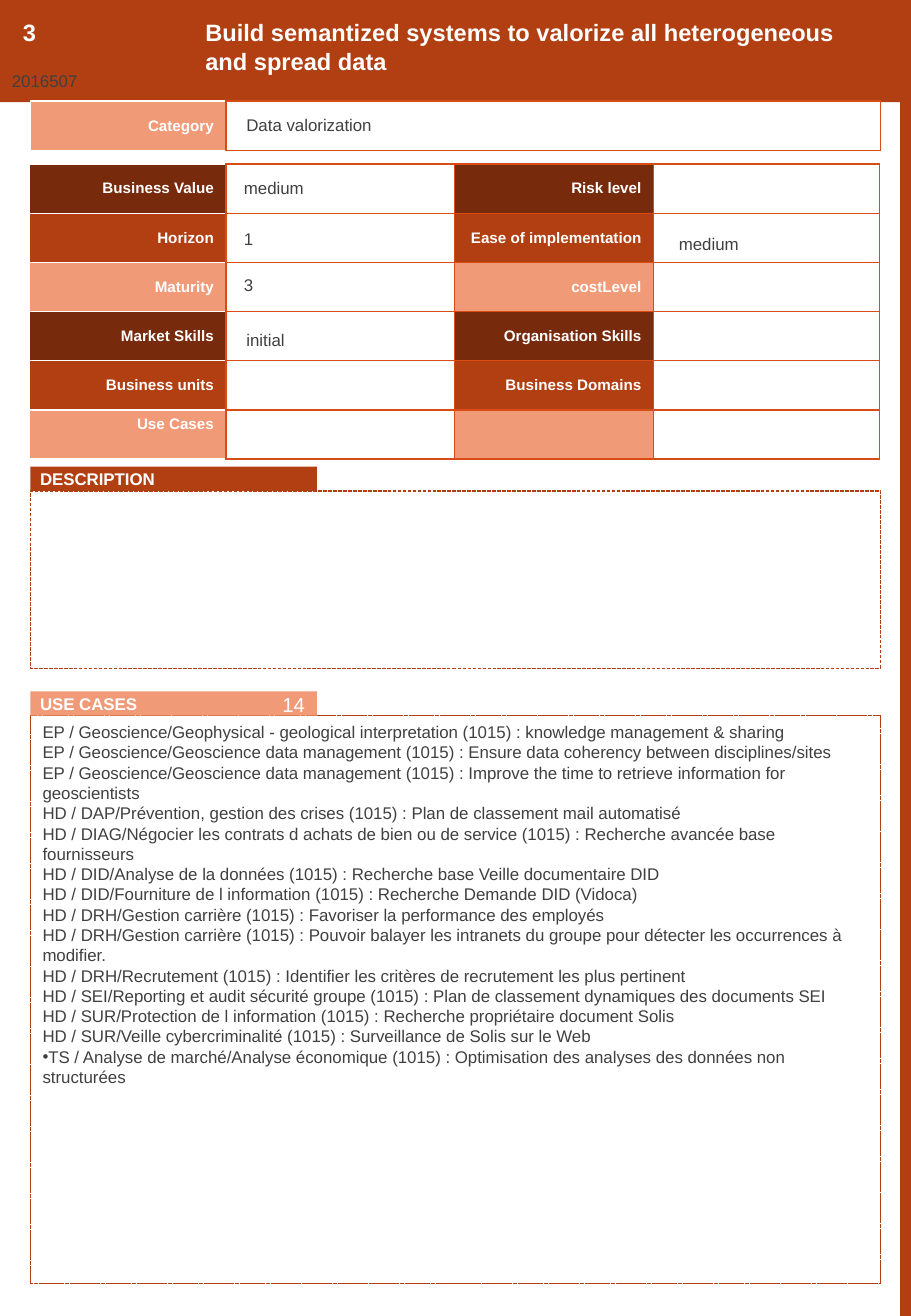
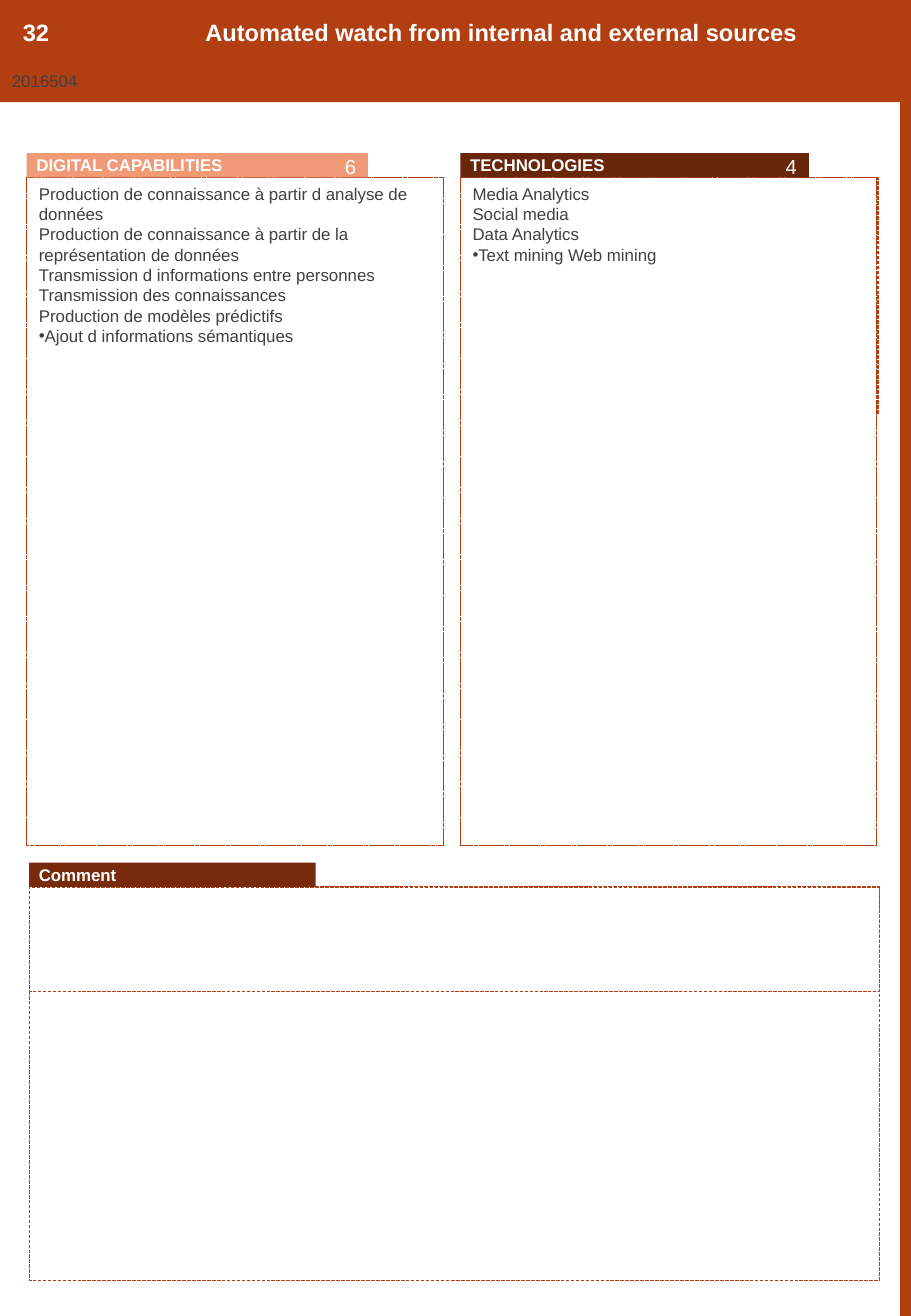
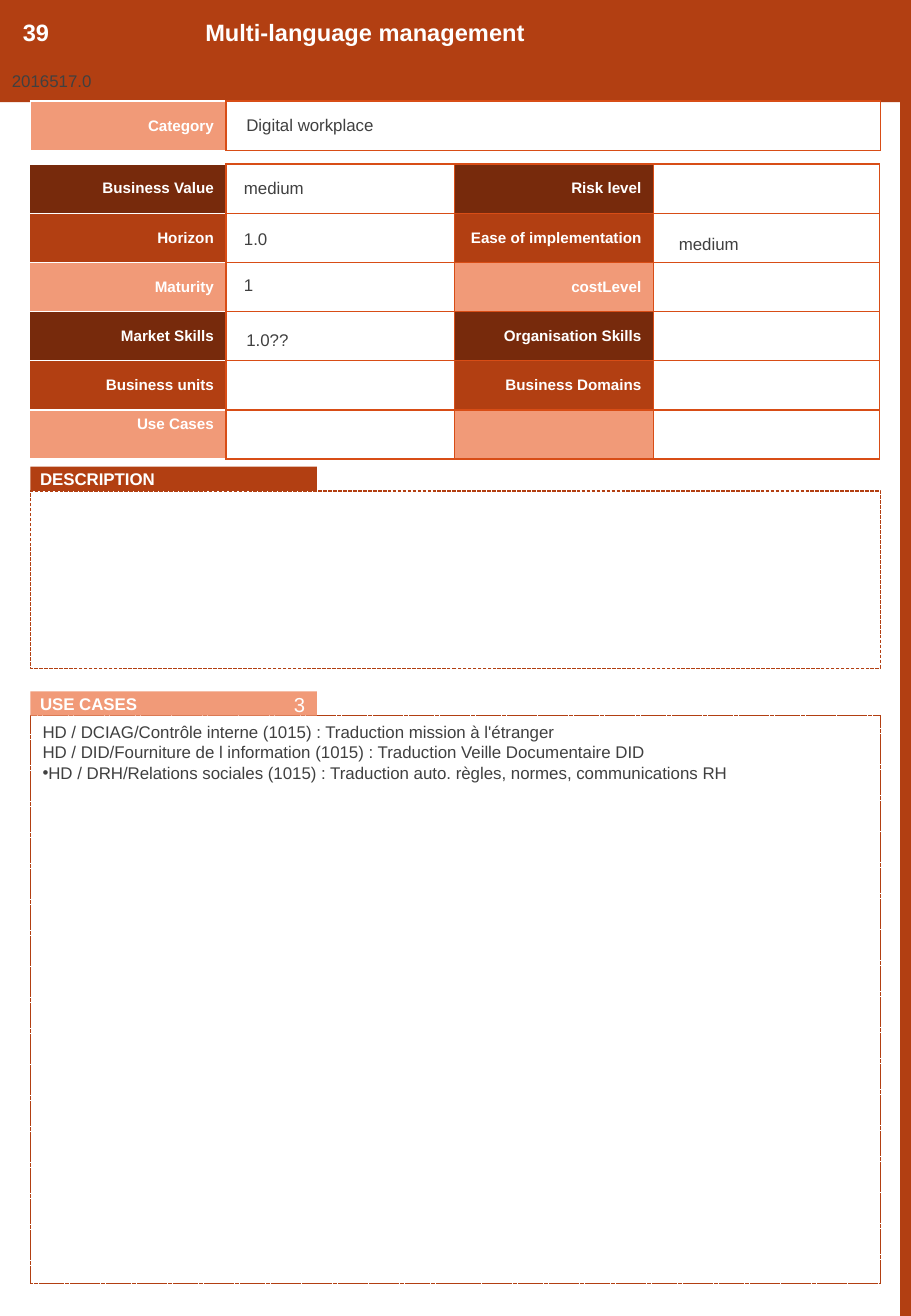
"""Build the three solution cards."""
from dataclasses import dataclass

from lxml.etree import SubElement
from pptx import Presentation
from pptx.dml.color import RGBColor
from pptx.enum.dml import MSO_LINE
from pptx.enum.shapes import MSO_SHAPE
from pptx.enum.text import MSO_ANCHOR, MSO_AUTO_SIZE, PP_ALIGN
from pptx.oxml.ns import qn
from pptx.presentation import Presentation as Deck
from pptx.shapes.autoshape import Shape
from pptx.slide import Slide
from pptx.table import Table, _Cell
from pptx.text.text import TextFrame, _Paragraph
from pptx.util import Inches, Pt


@dataclass(frozen=True)
class Theme:
    """Colours, type sizes and font shared by the slides."""

    rust: str = "B23F12"
    brown: str = "772A0C"
    dark_brown: str = "69260B"
    salmon: str = "F19A78"
    border: str = "D84D16"
    white: str = "FFFFFF"
    text: str = "404040"
    font: str = "Arial"
    title_size: int = 14
    count_size: int = 12
    body_size: int = 10
    label_size: int = 9


THEME = Theme()
TAB_HEIGHT = 0.2


@dataclass(frozen=True)
class Box:
    """A rectangle in inches."""

    left: float
    top: float
    width: float
    height: float

    def lengths(self) -> tuple[int, int, int, int]:
        """Return the four values as lengths."""
        return Inches(self.left), Inches(self.top), Inches(self.width), Inches(self.height)


@dataclass(frozen=True)
class Style:
    """The look of a piece of text."""

    size: int = THEME.body_size
    color: str = THEME.text
    bold: bool = False
    align: PP_ALIGN = PP_ALIGN.LEFT


BODY = Style()
TITLE = Style(THEME.title_size, THEME.white, True)
TAB = Style(THEME.body_size, THEME.white, True)
COUNT = Style(THEME.count_size, THEME.white, align=PP_ALIGN.RIGHT)
LABEL = Style(THEME.label_size, THEME.white, True, PP_ALIGN.RIGHT)


@dataclass(frozen=True)
class Panel:
    """A coloured tab above a dashed frame, with an optional counted list."""

    title: str
    color: str
    left: float
    top: float
    tab_width: float
    width: float
    height: float
    items: tuple[str, ...] = ()
    inner_frame: Box | None = None


@dataclass(frozen=True)
class Card:
    """The header of one slide."""

    number: str
    title: str
    code: str


@dataclass(frozen=True)
class Profile:
    """The ratings shown beside the labels."""

    category: str
    business_value: str
    horizon: str
    maturity: str
    market_skills: str
    ease: str


LABEL_ROWS = (
    ("Business Value", "Risk level", THEME.brown),
    ("Horizon", "Ease of implementation", THEME.rust),
    ("Maturity", "costLevel", THEME.salmon),
    ("Market Skills", "Organisation Skills", THEME.brown),
    ("Business units", "Business Domains", THEME.rust),
    ("Use Cases", "", THEME.salmon),
)

DATA_USE_CASES = (
    "EP / Geoscience/Geophysical - geological interpretation (1015) : knowledge management & sharing",
    "EP / Geoscience/Geoscience data management (1015) : Ensure data coherency between disciplines/sites",
    "EP / Geoscience/Geoscience data management (1015) : Improve the time to retrieve information for geoscientists",
    "HD / DAP/Prévention, gestion des crises (1015) : Plan de classement mail automatisé",
    "HD / DIAG/Négocier les contrats d achats de bien ou de service (1015) : Recherche avancée base fournisseurs",
    "HD / DID/Analyse de la données (1015) : Recherche base Veille documentaire DID",
    "HD / DID/Fourniture de l information (1015) : Recherche Demande DID (Vidoca)",
    "HD / DRH/Gestion carrière (1015) : Favoriser la performance des employés",
    "HD / DRH/Gestion carrière (1015) : Pouvoir balayer les intranets du groupe pour détecter les occurrences à modifier.",
    "HD / DRH/Recrutement (1015) : Identifier les critères de recrutement les plus pertinent",
    "HD / SEI/Reporting et audit sécurité groupe (1015) : Plan de classement dynamiques des documents SEI",
    "HD / SUR/Protection de l information (1015) : Recherche propriétaire document Solis",
    "HD / SUR/Veille cybercriminalité (1015) : Surveillance de Solis sur le Web",
    "TS / Analyse de marché/Analyse économique (1015) : Optimisation des analyses des données non structurées",
)
LANGUAGE_USE_CASES = (
    "HD / DCIAG/Contrôle interne (1015) : Traduction mission à l'étranger",
    "HD / DID/Fourniture de l information (1015) : Traduction Veille Documentaire DID",
    "HD / DRH/Relations sociales (1015) : Traduction auto. règles, normes, communications RH",
)
CAPABILITIES = (
    "Production de connaissance à partir d analyse de données",
    "Production de connaissance à partir de la représentation de données",
    "Transmission d informations entre personnes",
    "Transmission des connaissances",
    "Production de modèles prédictifs",
    "Ajout d informations sémantiques",
)
TECHNOLOGIES = ("Media Analytics", "Social media", "Data Analytics", "Text mining Web mining")


def rgb(color: str) -> RGBColor:
    """Turn a hex string into a colour."""
    return RGBColor.from_string(color)


def format_paragraph(paragraph: _Paragraph, style: Style) -> None:
    """Apply a text style to a paragraph."""
    paragraph.alignment = style.align
    paragraph.space_before = Pt(0)
    font = paragraph.font
    font.name, font.size, font.bold = THEME.font, Pt(style.size), style.bold
    font.color.rgb = rgb(style.color)


def write(frame: TextFrame, text: str, style: Style, anchor: MSO_ANCHOR = MSO_ANCHOR.TOP) -> None:
    """Fill a text frame with one formatted paragraph."""
    frame.word_wrap = True
    frame.auto_size = MSO_AUTO_SIZE.NONE
    frame.vertical_anchor = anchor
    frame.text = text
    format_paragraph(frame.paragraphs[0], style)


def place(shape: Shape, box: Box) -> None:
    """Move and resize a shape."""
    shape.left, shape.top, shape.width, shape.height = box.lengths()


def add_text(slide: Slide, box: Box, text: str, style: Style = BODY) -> None:
    """Add a wrapped text box."""
    write(slide.shapes.add_textbox(*box.lengths()).text_frame, text, style)


def add_block(slide: Slide, box: Box, color: str) -> Shape:
    """Add a plain filled rectangle."""
    block = slide.shapes.add_shape(MSO_SHAPE.RECTANGLE, *box.lengths())
    block.shadow.inherit = False
    block.fill.solid()
    block.fill.fore_color.rgb = rgb(color)
    block.line.fill.background()
    return block


def outline(shape: Shape) -> None:
    """Give a shape a white fill and a dashed hairline."""
    shape.fill.solid()
    shape.fill.fore_color.rgb = rgb(THEME.white)
    shape.line.color.rgb = rgb(THEME.rust)
    shape.line.width = Pt(0)
    shape.line.dash_style = MSO_LINE.SQUARE_DOT


def add_frame(slide: Slide, box: Box) -> None:
    """Add an empty dashed frame."""
    outline(add_block(slide, box, THEME.white))


def fill_list(slide: Slide, placeholder: Shape, box: Box, items: tuple[str, ...]) -> None:
    """Put a list in a body placeholder, with a bullet on its last item."""
    slide.shapes.element.append(placeholder.element)
    place(placeholder, box)
    outline(placeholder)
    frame = placeholder.text_frame
    write(frame, "\n".join(items), BODY)
    for paragraph in frame.paragraphs:
        properties = paragraph._p.get_or_add_pPr()
        properties.set("marL", "0")
        properties.set("indent", "0")
        if paragraph.text == items[-1]:
            bullet = SubElement(properties, qn("a:buChar"))
            bullet.set("char", "•")
        else:
            bullet = SubElement(properties, qn("a:buNone"))
        default_run = properties.find(qn("a:defRPr"))
        if default_run is not None:
            default_run.addprevious(bullet)
        format_paragraph(paragraph, BODY)


def add_panels(slide: Slide, panels: tuple[Panel, ...]) -> None:
    """Draw panels, taking one body placeholder for each list."""
    bodies = iter([shape for shape in slide.placeholders if shape.placeholder_format.idx])
    for panel in panels:
        box = Box(panel.left, panel.top + TAB_HEIGHT, panel.width, panel.height)
        if panel.items:
            if panel.inner_frame:
                add_frame(slide, panel.inner_frame)
            fill_list(slide, next(bodies), box, panel.items)
        else:
            add_frame(slide, box)
            if panel.inner_frame:
                add_frame(slide, panel.inner_frame)
        tab = add_block(slide, Box(panel.left, panel.top, panel.tab_width, TAB_HEIGHT), panel.color)
        write(tab.text_frame, panel.title, TAB, MSO_ANCHOR.MIDDLE)
        tab.text_frame.margin_left = tab.text_frame.margin_right = Inches(0.08)
        if panel.items:
            count_left = panel.left + panel.tab_width - 1.3
            add_text(slide, Box(count_left, panel.top - 0.04, 1.3, 0.29), str(len(panel.items)), COUNT)


def format_cell(cell: _Cell, text: str, color: str, edge: str) -> None:
    """Write a cell with a fill, an orange right border and other borders in one colour."""
    properties = cell._tc.get_or_add_tcPr()
    for side in "LRTB":
        line = SubElement(properties, qn(f"a:ln{side}"), w=str(Pt(1)))
        fill = SubElement(line, qn("a:solidFill"))
        SubElement(fill, qn("a:srgbClr"), val=THEME.border if side == "R" else edge)
    cell.fill.solid()
    cell.fill.fore_color.rgb = rgb(color)
    cell.vertical_anchor = MSO_ANCHOR.TOP if text == "Use Cases" else MSO_ANCHOR.MIDDLE
    cell.text = text
    format_paragraph(cell.text_frame.paragraphs[0], LABEL)


def add_grid(slide: Slide, box: Box, widths: tuple[float, ...], rows: int) -> Table:
    """Add an unstyled table with the given column widths."""
    table = slide.shapes.add_table(rows, len(widths), *box.lengths()).table
    table.first_row = table.horz_banding = False
    for column, width in zip(table.columns, widths):
        column.width = Inches(width)
    return table


def add_profile(slide: Slide, profile: Profile) -> None:
    """Draw the category row, the rating table and their values."""
    category = add_grid(slide, Box(0.25, 0.83, 7, 0.41), (1.61, 5.39), 1)
    format_cell(category.cell(0, 0), "Category", THEME.salmon, THEME.white)
    format_cell(category.cell(0, 1), "", THEME.white, THEME.border)

    ratings = add_grid(slide, Box(0.24, 1.35, 7, 2.43), (1.62, 1.88, 1.64, 1.86), len(LABEL_ROWS))
    for row, (left_label, right_label, color) in enumerate(LABEL_ROWS):
        format_cell(ratings.cell(row, 0), left_label, color, THEME.white)
        format_cell(ratings.cell(row, 1), "", THEME.white, THEME.border)
        format_cell(ratings.cell(row, 2), right_label, color, THEME.border)
        format_cell(ratings.cell(row, 3), "", THEME.white, THEME.border)

    for left, top, value in (
        (1.93, 0.89, profile.category),
        (1.91, 1.41, profile.business_value),
        (1.91, 1.83, profile.horizon),
        (1.91, 2.21, profile.maturity),
        (1.93, 2.66, profile.market_skills),
        (5.49, 1.87, profile.ease),
    ):
        add_text(slide, Box(left, top, 1.75, 0.29), value)


def add_card(presentation: Deck, layout: int, card: Card) -> Slide:
    """Add a slide with its number, title and code."""
    slide = presentation.slides.add_slide(presentation.slide_layouts[layout])
    title = slide.shapes.title
    place(title, Box(1.59, 0.1, 5.41, 0.34))
    write(title.text_frame, card.title, TITLE)
    add_text(slide, Box(0.09, 0.1, 0.8, 0.34), card.number, TITLE)
    add_text(slide, Box(0, 0.53, 1.06, 0.29), card.code)
    return slide


def add_master_bands(presentation: Deck, slide: Slide) -> None:
    """Place the header band and the right strip on the slide master."""
    master_tree = presentation.slide_master.shapes.element
    for number, box in enumerate((Box(7.41, 0, 0.09, 10.83), Box(0, -0.01, 7.5, 0.85))):
        band = add_block(slide, box, THEME.rust)
        band.element.nvSpPr.cNvPr.set("id", str(100 + number))
        master_tree.append(band.element)


def add_profile_slide(
    presentation: Deck, card: Card, profile: Profile, use_cases: tuple[str, ...]
) -> Slide:
    """Add a slide with ratings, description and use cases."""
    slide = add_card(presentation, 1, card)
    add_profile(slide, profile)
    add_panels(slide, (
        Panel("DESCRIPTION", THEME.rust, 0.25, 3.84, 2.36, 7, 1.46),
        Panel("USE CASES", THEME.salmon, 0.25, 5.69, 2.36, 7, 4.67, use_cases),
    ))
    return slide


def add_capability_slide(presentation: Deck, card: Card) -> None:
    """Add the slide with capabilities, technologies and a comment."""
    slide = add_card(presentation, 3, card)
    add_panels(slide, (
        Panel("DIGITAL CAPABILITIES", THEME.salmon, 0.22, 1.26, 2.81, 3.43, 5.5, CAPABILITIES),
        Panel("TECHNOLOGIES", THEME.dark_brown, 3.79, 1.26, 2.87, 3.43, 5.5, TECHNOLOGIES,
              Box(3.8, 1.46, 3.43, 1.95)),
        Panel("Comment", THEME.brown, 0.24, 7.1, 2.36, 7, 3.24,
              inner_frame=Box(0.24, 7.3, 7, 0.86)),
    ))


def main() -> None:
    """Build and save the presentation."""
    presentation = Presentation()
    presentation.slide_width, presentation.slide_height = Inches(7.5), Inches(10.83)
    first_slide = add_profile_slide(
        presentation,
        Card("3", "Build semantized systems to valorize all heterogeneous and spread data", "2016507"),
        Profile("Data valorization", "medium", "1", "3", "initial", "medium"),
        DATA_USE_CASES,
    )
    add_master_bands(presentation, first_slide)
    add_capability_slide(
        presentation, Card("32", "Automated watch from internal and external sources", "2016504")
    )
    add_profile_slide(
        presentation,
        Card("39", "Multi-language management", "2016517.0"),
        Profile("Digital workplace", "medium", "1.0", "1", "1.0??", "medium"),
        LANGUAGE_USE_CASES,
    )
    presentation.save("out.pptx")


if __name__ == "__main__":
    main()
